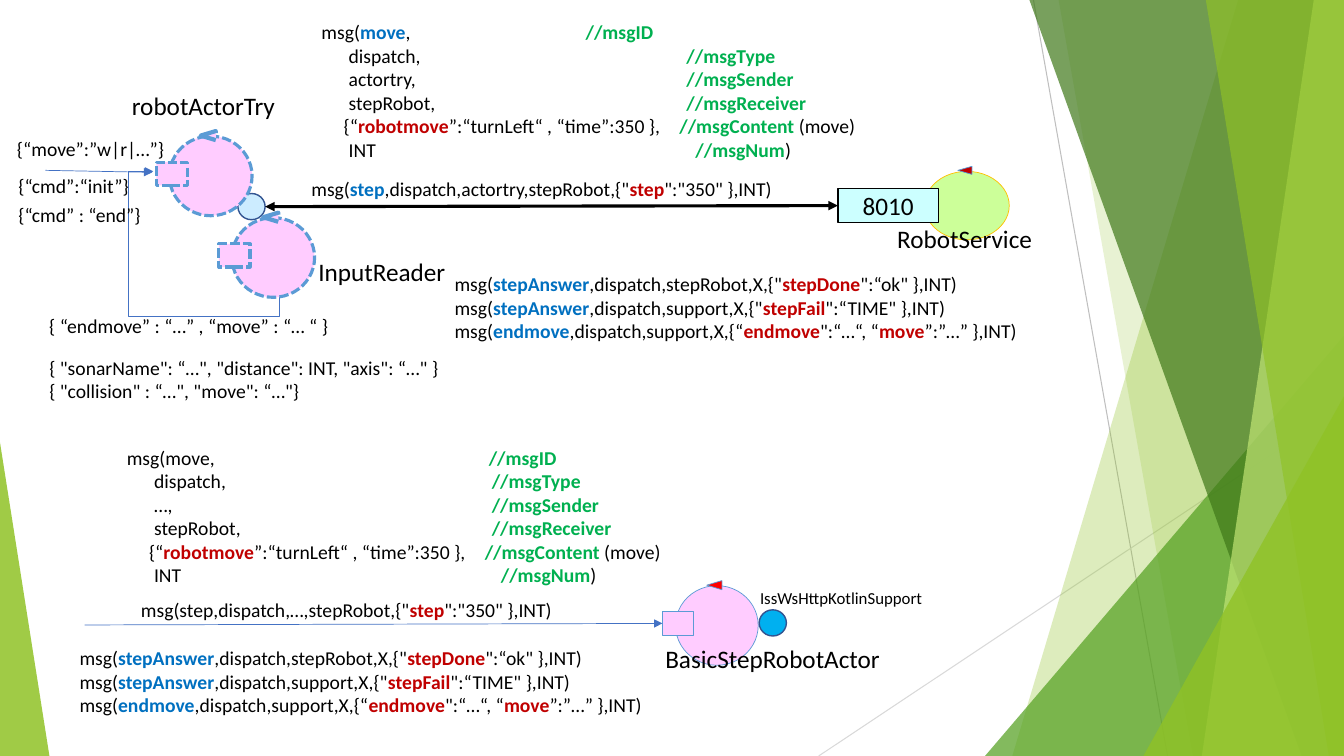
from lxml import etree
from pptx import Presentation
from pptx.dml.color import RGBColor
from pptx.enum.dml import MSO_LINE as DASH
from pptx.enum.shapes import MSO_CONNECTOR as LINK, MSO_SHAPE as SHAPE
from pptx.enum.text import MSO_ANCHOR as ANCHOR, MSO_AUTO_SIZE as FIT, PP_ALIGN as ALIGN
from pptx.oxml.ns import qn
from pptx.util import Inches, Pt

CELL = Inches(0.1)  # the slide is a grid of 133.3 columns by 75 rows
COLUMNS, ROWS = 133.3, 75

BLACK = RGBColor(0x00, 0x00, 0x00)
WHITE = RGBColor(0xFF, 0xFF, 0xFF)
GREY = RGBColor(0xBF, 0xBF, 0xBF)
PALE_GREY = RGBColor(0xD9, 0xD9, 0xD9)
LEAF = RGBColor(0x90, 0xC2, 0x26)
GRASS = RGBColor(0x54, 0xA0, 0x21)
FOREST = RGBColor(0x3F, 0x78, 0x19)
LIME = RGBColor(0xC0, 0xE4, 0x74)
PINK = RGBColor(0xFF, 0xCC, 0xFF)
PALE_LIME = RGBColor(0xCC, 0xFF, 0x99)
PALE_CYAN = RGBColor(0xCC, 0xFF, 0xFF)
PALE_BLUE = RGBColor(0xCC, 0xEC, 0xFF)
SKY = RGBColor(0x00, 0xB0, 0xF0)
NAVY = RGBColor(0x32, 0x54, 0x91)
STEEL = RGBColor(0x5B, 0x9B, 0xD5)
ARROW_BLUE = RGBColor(0x44, 0x72, 0xC4)
GOLD = RGBColor(0xFF, 0xC0, 0x00)
RED = RGBColor(0xFF, 0x00, 0x00)
DARK_RED = RGBColor(0xC0, 0x00, 0x00)
BLUE = RGBColor(0x00, 0x70, 0xC0)
GREEN = RGBColor(0x00, 0xB0, 0x50)


def cells(*values):
    return [round(value * CELL) for value in values]


class Canvas:
    font = "Calibri"

    def __init__(self, slide):
        self.slide = slide
        self.shapes = slide.shapes

    def facet(self, points, color, opacity):
        """Translucent polygon of the background."""
        corners = [cells(*point) for point in points]
        builder = self.shapes.build_freeform(*corners[0], scale=1.0)
        builder.add_line_segments(corners[1:], close=True)
        shape = builder.convert_to_shape()
        shape.shadow.inherit = False
        shape.fill.solid()
        shape.fill.fore_color.rgb = color
        shape.line.fill.background()
        color_node = shape.element.spPr.find(qn("a:solidFill"))[0]
        etree.SubElement(color_node, qn("a:alpha"), val=str(opacity * 1000))

    def shape(self, kind, box, fill, line, width, dash=None, rotation=0):
        shape = self.shapes.add_shape(kind, *cells(*box))
        shape.shadow.inherit = False
        shape.fill.solid()
        shape.fill.fore_color.rgb = fill
        shape.line.color.rgb = line
        shape.line.width = Pt(width)
        if dash is not None:
            shape.line.dash_style = dash
        shape.rotation = rotation
        return shape

    def line(self, start, end, color, width, ends=(), kind=LINK.STRAIGHT, target=None):
        connector = self.shapes.add_connector(kind, *cells(*start, *end))
        if target is not None:
            connector.end_connect(target, 1)
        connector.line.color.rgb = color
        connector.line.width = Pt(width)
        properties = connector.element.spPr
        for end_name in ends:
            etree.SubElement(properties.find(qn("a:ln")), qn(f"a:{end_name}"), type="triangle")
        etree.SubElement(properties, qn("a:effectLst"))
        return connector

    def fill_paragraph(self, paragraph, pieces, size, tabs=()):
        """A piece is plain text, or (text, color) for bold text."""
        for piece in pieces:
            text, color = (piece, BLACK) if isinstance(piece, str) else piece
            run = paragraph.add_run()
            run.text = text
            run.font.name, run.font.size = self.font, Pt(size)
            run.font.color.rgb, run.font.bold = color, color != BLACK
        if tabs:
            stops = etree.SubElement(paragraph._p.get_or_add_pPr(), qn("a:tabLst"))
            for position in cells(*tabs):
                etree.SubElement(stops, qn("a:tab"), pos=str(position), algn="l")

    def text(self, box, lines, size=14, wrap=False, tabs=None):
        text_box = self.shapes.add_textbox(*cells(*box))
        frame = text_box.text_frame
        frame.word_wrap = wrap
        frame.auto_size = FIT.SHAPE_TO_FIT_TEXT
        for index, pieces in enumerate(lines):
            paragraph = frame.add_paragraph() if index else frame.paragraphs[0]
            self.fill_paragraph(paragraph, pieces, size, tabs[index] if tabs else ())
        return text_box

    def actor(self, left, top, width, flag, dash=None, flag_width=0.5, flag_dash=None):
        """Actor symbol: body, input port and flag; returns the port."""
        self.shape(SHAPE.OVAL, (left, top, 8.2, 7.9), PINK, STEEL, width, dash)
        port = self.shape(SHAPE.RECTANGLE, (left - 1.3, top + 2.6, 3.1, 2.3), PINK, STEEL, width, dash)
        self.shape(SHAPE.ISOSCELES_TRIANGLE, (left + 3.4, top - 0.8, 0.9, 1.5),
                   flag, STEEL, flag_width, flag_dash, 270)
        return port

    def message_format(self, left, top, name, sender, first_tab):
        """Commented layout of a move message."""
        fields = [("dispatch,", "//msgType"), (sender, "//msgSender"), ("stepRobot,", "//msgReceiver")]
        lines = [["msg(", name, ",\t", ("//msgID", GREEN)]]
        lines += [[f"\t{field}\t", (comment, GREEN)] for field, comment in fields]
        lines += [["\t{“", ("robotmove", DARK_RED), "”:“turnLeft“ , “time”:350 },\t",
                   ("//msgContent ", GREEN), "(move)"],
                  ["\tINT\t", ("//msgNum", GREEN), ")"]]
        tabs = [(first_tab,)] + [(2.7, 36.2)] * 3 + [(2.2, 35.5), (2.7, 37.1)]
        return self.text((left, top, 61.4, 15.1), lines, wrap=True, tabs=tabs)

    def answers(self, left, top):
        """The three replies of the robot."""
        replies = [("stepAnswer", ",dispatch,stepRobot,X,{\"", "stepDone", ["\":“ok\" },INT)"]),
                   ("stepAnswer", ",dispatch,support,X,{\"", "stepFail", ["\":“TIME\" },INT)"]),
                   ("endmove", ",dispatch,support,X,{“", "endmove",
                    ["\":“…“, “", ("move", DARK_RED), "”:”…” },INT)"])]
        self.text((left, top, 58.1, 8.1),
                  [["msg(", (name, BLUE), middle, (key, DARK_RED), *rest]
                   for name, middle, key, rest in replies])


def main():
    presentation = Presentation()
    presentation.slide_width, presentation.slide_height = cells(COLUMNS, ROWS)
    canvas = Canvas(presentation.slides.add_slide(presentation.slide_layouts[6]))

    # Background facets
    canvas.line((102.5, 0), (115.8, ROWS), GREY, 0.75)
    canvas.line((COLUMNS, 40.3), (81.2, ROWS), PALE_GREY, 0.75)
    corner = (COLUMNS, ROWS)
    for top_left, bottom_left, color, opacity in [
            ((122.8, 0), 100.4, LEAF, 30), ((105, 0), 118.3, LEAF, 20),
            ((COLUMNS, 33.3), 97.7, GRASS, 72), ((102.1, 0), 129.1, FOREST, 70),
            ((130.3, 0), 119.2, LIME, 70), ((119.6, 0), 131.8, LEAF, 65),
            ((COLUMNS, 39.3), 113.4, LEAF, 80)]:
        top_right = [] if top_left[0] == COLUMNS else [(COLUMNS, 0)]
        canvas.facet([top_left, *top_right, corner, (bottom_left, ROWS)], color, opacity)
    canvas.facet([(0, ROWS), (0, 43.9), (4.9, ROWS)], LEAF, 85)

    # Names and inputs of the first actors
    canvas.text((12.1, 8.5, 16.3, 4), [["robotActorTry"]], 18)
    canvas.text((30.6, 24.9, 14.8, 4), [["InputReader"]], 18)
    canvas.shape(SHAPE.OVAL, (23.6, 19.2, 2.7, 2.6), PALE_BLUE, NAVY, 1)
    canvas.line((4.5, 16.9), (15.1, 17.1), ARROW_BLUE, 0.5, ["tailEnd"])

    # Four-part elbow from the reader back to the actor
    elbow = canvas.line((27.4, 16.7), (15.5, 29.2), ARROW_BLUE, 0.5, ["tailEnd"], LINK.ELBOW)
    elbow.element.spPr.find(qn("a:xfrm")).set("rot", "5400000")
    geometry = elbow.element.spPr.find(qn("a:prstGeom"))
    geometry.set("prst", "bentConnector4")
    guides = geometry.find(qn("a:avLst"))
    for name, value in [("adj1", -21100), ("adj2", 120000)]:
        etree.SubElement(guides, qn("a:gd"), name=name, fmla=f"val {value}")

    canvas.text((3.9, 30.7, 30.3, 3.4), [["{ “endmove” : “…” , “move” : “… “ }"]], wrap=True)
    canvas.text((3.9, 34.8, 42.8, 5.7),
                [["{ \"sonarName\": “…\", \"distance\": INT, \"axis\": “…\" }"],
                 ["{ \"collision\" : “…\", \"move\": “…\"}"]], wrap=True)

    # Robot service and its port
    canvas.shape(SHAPE.OVAL, (91.7, 17, 8.4, 6.8), PALE_LIME, GOLD, 0.5)
    canvas.shape(SHAPE.ISOSCELES_TRIANGLE, (95.3, 16.2, 0.8, 1.4), DARK_RED, STEEL, 0.5, rotation=270)
    canvas.text((88, 21.7, 15.5, 4), [["RobotService"]], 18)
    port = canvas.shape(SHAPE.RECTANGLE, (83.1, 18.7, 10, 3.4), PALE_CYAN, BLACK, 1)
    port.text_frame.vertical_anchor = ANCHOR.MIDDLE
    port_label = port.text_frame.paragraphs[0]
    port_label.alignment = ALIGN.CENTER
    canvas.fill_paragraph(port_label, ["8010"], 18)
    canvas.line((26.3, 20.5), (83.1, 20.4), BLACK, 2.25, ["headEnd", "tailEnd"], target=port)

    # Messages between actor and service
    canvas.text((0.4, 16.8, 13.5, 3.4), [[" {“cmd”:“init”}"]], wrap=True)
    canvas.text((0.4, 19.6, 15.3, 3.4), [[" {“cmd” : “end”}"]], wrap=True)
    canvas.text((29.9, 17.1, 48, 3.4),
                [["msg(", ("step", BLUE), ",dispatch,actortry,stepRobot,{\"",
                  ("step", DARK_RED), "\":\"350\" },INT)"]])
    framed = canvas.message_format(30.9, 1.5, ("move", BLUE), "actortry,", 26.2)
    framed.line.color.rgb = WHITE
    framed.line.width = Pt(0.75)

    # Basic step robot
    step_port = canvas.actor(67, 58.1, 0.5, RED)
    canvas.message_format(11.6, 43.7, "move", "…,", 35.9)
    canvas.text((13, 58.8, 43.3, 3.4),
                [["msg(step,dispatch,…,stepRobot,{\"", ("step", DARK_RED), "\":\"350\" },INT)"]])
    canvas.line((8.4, 62), (65.7, 61.8), ARROW_BLUE, 0.5, ["tailEnd"], target=step_port)
    canvas.text((65, 63.3, 23.5, 4), [["BasicStepRobotActor"]], 18)
    canvas.shape(SHAPE.OVAL, (75.3, 60.5, 2.7, 2.6), SKY, NAVY, 1)
    canvas.text((74.4, 57.8, 18.3, 3), [["IssWsHttpKotlinSupport"]], 12)

    # Dashed actors and the replies
    for left, top in [(16.8, 13.5), (23, 21.6)]:
        canvas.actor(left, top, 2.25, PINK, DASH.SQUARE_DOT, 3, DASH.LONG_DASH_DOT)
    canvas.text((0.7, 13.1, 16.7, 3.4), [["{“move”:”w|r|…”}"]], wrap=True)
    for left, top in [(44.1, 26.5), (6.9, 63.6)]:
        canvas.answers(left, top)

    presentation.save("out.pptx")


if __name__ == "__main__":
    main()
